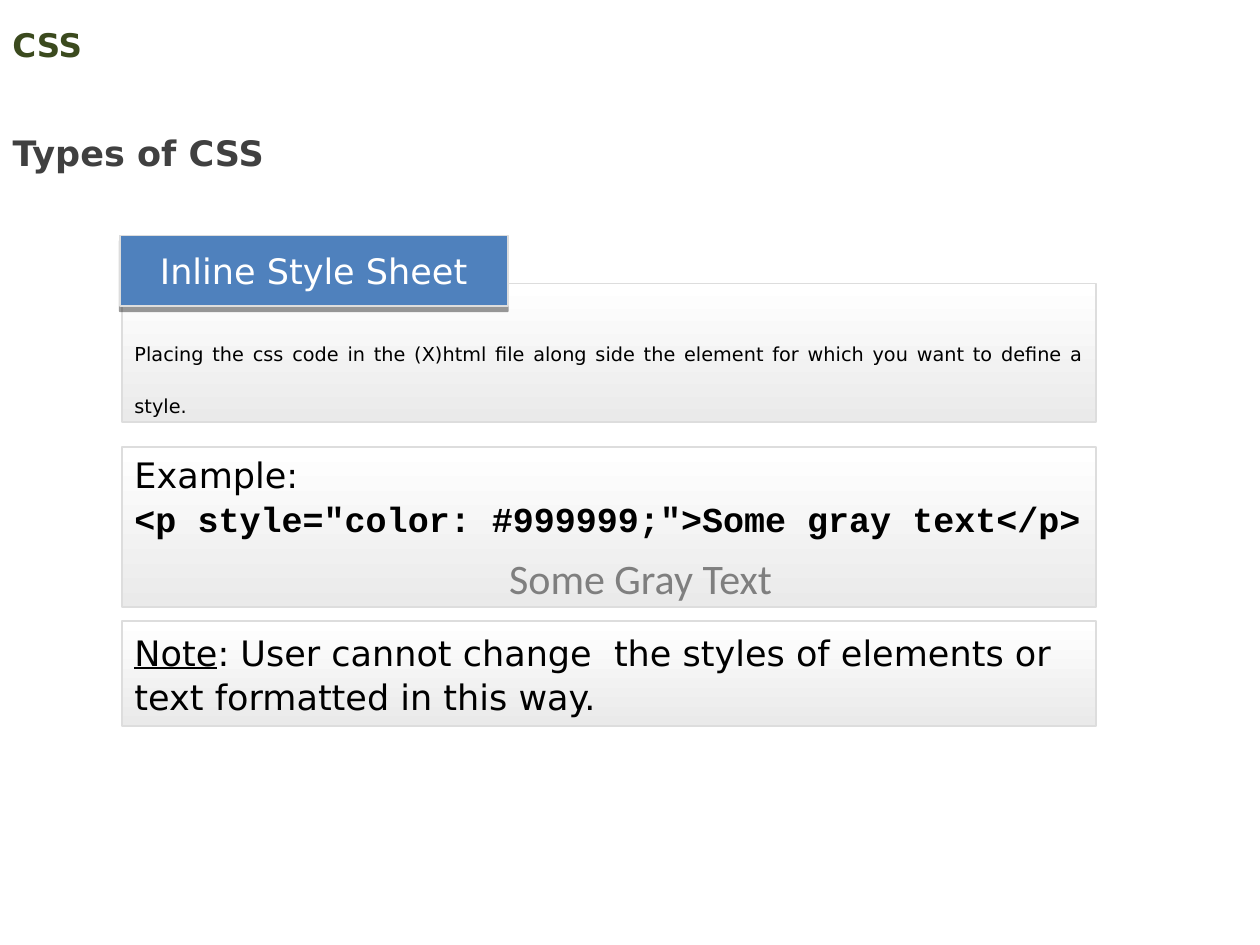
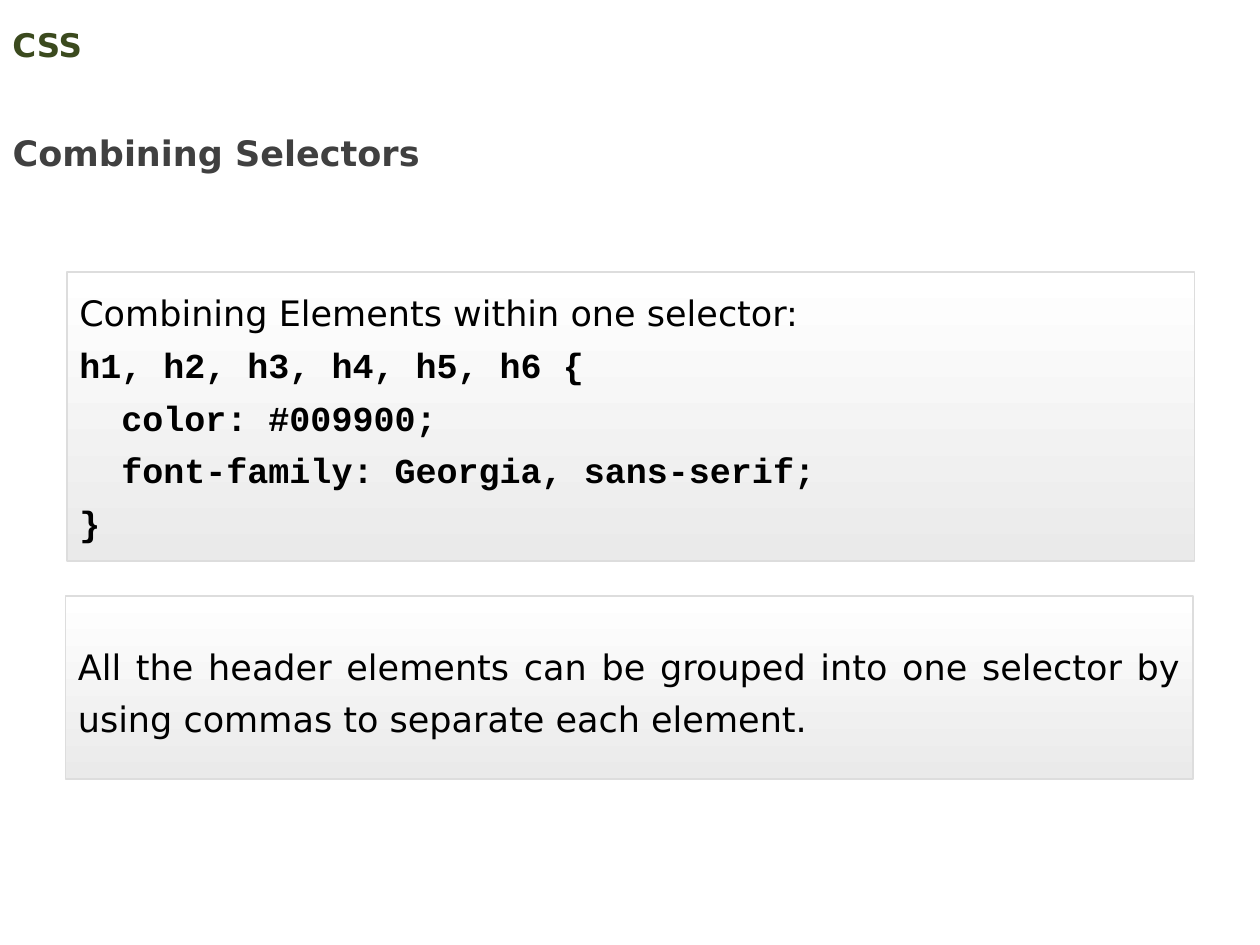
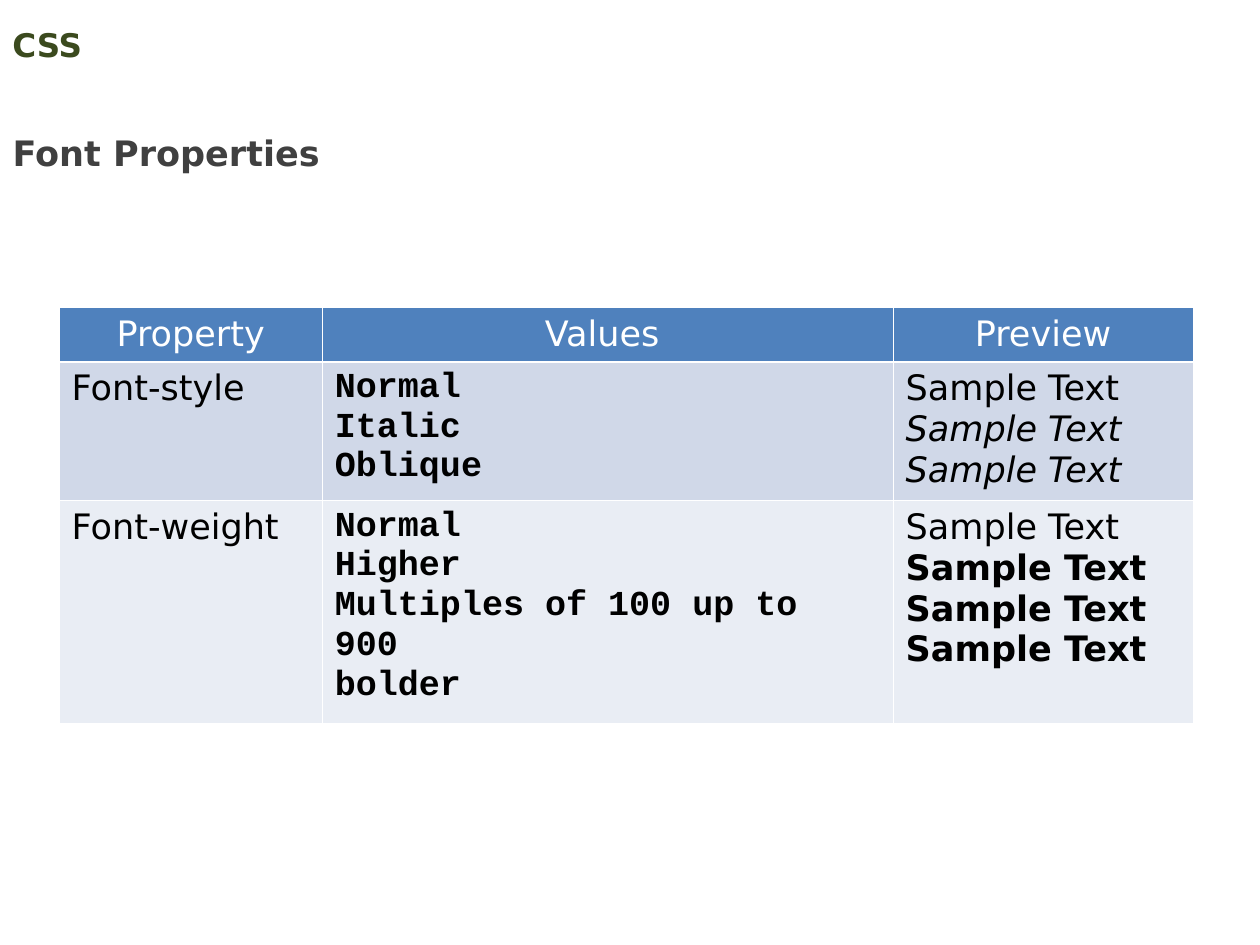
"""Builds three slides on CSS: inline styles, selectors and font properties."""
from dataclasses import dataclass, replace

from lxml import etree
from pptx import Presentation
from pptx.dml.color import RGBColor
from pptx.enum import shapes, text
from pptx.oxml import ns
from pptx.slide import Slide
from pptx.text.text import TextFrame
from pptx.util import Pt

WHITE = RGBColor(0xFF, 0xFF, 0xFF)
BLACK = RGBColor(0x00, 0x00, 0x00)
OLIVE = RGBColor(0x3B, 0x4A, 0x1E)
DARK = RGBColor(0x40, 0x40, 0x40)
GRAY = RGBColor(0x7F, 0x7F, 0x7F)
PALE = RGBColor(0xEA, 0xEA, 0xEA)
EDGE = RGBColor(0xDD, 0xDD, 0xDD)
BLUE = RGBColor(0x4F, 0x81, 0xBD)
BAND = RGBColor(0xD0, 0xD8, 0xE8)
LIGHT = RGBColor(0xE9, 0xED, 0xF4)

SANS, MONO = "DejaVu Sans", "Courier New"
LEFT, MID, FULL = text.PP_ALIGN.LEFT, text.PP_ALIGN.CENTER, text.PP_ALIGN.JUSTIFY
THIN, THICK = 0.45, 1.47


@dataclass(frozen=True)
class Run:
    """A stretch of text in one style."""
    words: str
    size: float = 20
    face: str = SANS
    ink: RGBColor = BLACK
    bold: bool = False
    slant: bool = False
    under: bool = False
    split: bool = False


@dataclass(frozen=True)
class Para:
    """A paragraph and its spacing; a float lead is a factor."""
    runs: tuple[Run, ...]
    align: text.PP_ALIGN = LEFT
    lead: int | float | None = None
    before: float = 0
    after: float = 0
    level: int = 0
    margin: float = 0
    indent: float = 0


@dataclass(frozen=True)
class Box:
    """A place on the slide."""
    left: float
    top: float
    wide: float
    high: float

    def place(self) -> tuple[Pt, Pt, Pt, Pt]:
        """Return the four lengths."""
        return Pt(self.left), Pt(self.top), Pt(self.wide), Pt(self.high)


@dataclass(frozen=True)
class Panel:
    """A shaded box with text."""
    box: Box
    paras: tuple[Para, ...]
    over: float = 7.2
    below: float = 7.2


HEAD = Box(0, 10.1, 648, 31)
TITLE = Box(0, 59.8, 277.2, 43.2)
TAG = Box(68.4, 134.6, 221.8, 40.3)


def code(words: str) -> Run:
    """Make a run of code."""
    return Run(words, face=MONO, bold=True)


def block(*runs: Run, align: text.PP_ALIGN = LEFT, lead: int = 25) -> Para:
    """Make a panel paragraph."""
    return Para(runs, align, Pt(lead), after=5)


def write(frame: TextFrame, paras: tuple[Para, ...]) -> None:
    """Fill a frame with paragraphs, run by run."""
    frame.word_wrap = True
    for num, para in enumerate(paras):
        line = frame.add_paragraph() if num else frame.paragraphs[0]
        line.alignment = para.align
        line.space_before, line.space_after = Pt(para.before), Pt(para.after)
        if para.lead:
            line.line_spacing = para.lead
        if para.level:
            line.level = para.level
            props = line._p.get_or_add_pPr()
            props.set("marL", str(Pt(para.margin)))
            props.set("indent", str(Pt(para.indent)))
        for run in para.runs:
            part = line.add_run()
            part.text = run.words
            font = part.font
            font.size, font.name = Pt(run.size), run.face
            font.bold, font.italic, font.underline = run.bold, run.slant, run.under
            font.color.rgb = run.ink
            if run.split:
                line.add_line_break()


def inset(frame: TextFrame, side: float, over: float, below: float) -> None:
    """Set the margins of a frame."""
    frame.margin_left = frame.margin_right = Pt(side)
    frame.margin_top, frame.margin_bottom = Pt(over), Pt(below)


def start(deck: Presentation, name: str) -> Slide:
    """Add a slide with the shared head and its title."""
    slide = deck.slides.add_slide(deck.slide_layouts[5])
    head = slide.shapes.add_textbox(*HEAD.place()).text_frame
    head.vertical_anchor = text.MSO_ANCHOR.MIDDLE
    write(head, (Para((Run("CSS", 18.6, ink=OLIVE, bold=True),)),))
    title = slide.shapes.title
    title.left, title.top, title.width, title.height = TITLE.place()
    frame = title.text_frame
    inset(frame, 7.2, 3.6, 3.6)
    frame.vertical_anchor = text.MSO_ANCHOR.TOP
    frame.auto_size = text.MSO_AUTO_SIZE.SHAPE_TO_FIT_TEXT
    write(frame, (Para((Run(name, ink=DARK, bold=True),), lead=1.5),))
    return slide


def rect(slide: Slide, box: Box):
    """Add an edged rectangle with no shadow."""
    shape = slide.shapes.add_shape(shapes.MSO_SHAPE.RECTANGLE, *box.place())
    shape.shadow.inherit = False
    shape.line.color.rgb, shape.line.width = EDGE, Pt(1)
    shape.text_frame.vertical_anchor = text.MSO_ANCHOR.MIDDLE
    return shape


def draw(slide: Slide, panel: Panel) -> None:
    """Draw a panel."""
    shape = rect(slide, panel.box)
    fill = shape.fill
    fill.gradient()
    fill.gradient_angle = 270
    for stop, tone, spot in zip(fill.gradient_stops, (WHITE, PALE), (0, 1)):
        stop.color.rgb, stop.position = tone, spot
    inset(shape.text_frame, 7.2, panel.over, panel.below)
    write(shape.text_frame, panel.paras)


def label(slide: Slide, words: str) -> None:
    """Draw the blue tag with its drop shadow."""
    shape = rect(slide, TAG)
    shape.fill.solid()
    shape.fill.fore_color.rgb = BLUE
    effect = shape._element.spPr.find(ns.qn("a:effectLst"))
    shade = etree.SubElement(effect, ns.qn("a:outerShdw"), blurRad="0",
                             dist=str(Pt(3)), dir="5400000", rotWithShape="0")
    tone = etree.SubElement(shade, ns.qn("a:srgbClr"), val=str(BLACK))
    etree.SubElement(tone, ns.qn("a:alpha"), val="40000")
    inset(shape.text_frame, 0, 0, 0)
    write(shape.text_frame, (Para((Run(words, ink=WHITE),), MID),))


def border(cell, over: float, below: float) -> None:
    """Give a cell white borders."""
    props = cell._tc.get_or_add_tcPr()
    sides = (("L", THIN), ("R", THIN), ("T", over), ("B", below))
    for spot, (side, wide) in enumerate(sides):
        line = etree.Element(ns.qn(f"a:ln{side}"), w=str(Pt(wide)))
        fill = etree.SubElement(line, ns.qn("a:solidFill"))
        etree.SubElement(fill, ns.qn("a:srgbClr"), val=str(WHITE))
        props.insert(spot, line)


def grid(slide: Slide, box: Box, wides: tuple, highs: tuple, rows: tuple) -> None:
    """Draw a table whose cells hold tuples of one-run lines."""
    table = slide.shapes.add_table(len(rows), len(wides), *box.place()).table
    for col, wide in zip(table.columns, wides):
        col.width = Pt(wide)
    for num, (cells, high, tone) in enumerate(zip(rows, highs, (BLUE, BAND, LIGHT))):
        table.rows[num].height = Pt(high)
        for col, runs in enumerate(cells):
            cell = table.cell(num, col)
            cell.fill.solid()
            cell.fill.fore_color.rgb = tone
            border(cell, THICK if num == 1 else THIN, THIN if num else THICK)
            align = LEFT if num else MID
            write(cell.text_frame, tuple(Para((run,), align) for run in runs))


def inline(deck: Presentation) -> None:
    """Build the slide on inline style sheets."""
    slide = start(deck, "Types of CSS")
    left, wide = 69.8, 556.6
    draw(slide, Panel(Box(left, 162, wide, 79.2), (
        block(Run("Placing the css code in the (X)html file along side the element "
                  "for which you want to define a style. ", 11), align=FULL, lead=30),
    ), 28.8, 14.4))
    label(slide, "Inline Style Sheet")
    draw(slide, Panel(Box(left, 255.6, wide, 91.4), (
        block(Run("Example:", split=True),
              code('<p style="color: #999999;">Some gray text</p>')),
        Para((Run("Some Gray Text", 24, "Calibri", GRAY),), MID, Pt(25), before=6,
             level=1, margin=58.3, indent=-22.3),
    )))
    draw(slide, Panel(Box(left, 355, wide, 59.8), (
        block(Run("Note", under=True),
              Run(": User cannot change  the styles of elements or text "
                  "formatted in this way.")),
    )))


def select(deck: Presentation) -> None:
    """Build the slide on combined selectors."""
    slide = start(deck, "Combining Selectors")
    rules = ("h1, h2, h3, h4, h5, h6 {", "  color: #009900;",
             "  font-family: Georgia, sans-serif;", "}")
    draw(slide, Panel(Box(38.2, 155.5, 644.4, 164.9), (
        block(Run("Combining Elements within one selector:"), align=FULL),
        *(block(code(rule)) for rule in rules),
    )))
    draw(slide, Panel(Box(37.4, 340.6, 644.4, 104.4), (
        block(Run("All the header elements can be grouped into one selector by "
                  "using commas to separate each element."), align=FULL, lead=30),
    )))


def fonts(deck: Presentation) -> None:
    """Build the slide with the table of font properties."""
    slide = start(deck, "Font Properties")
    plain = Run("Sample Text")
    slant, bold = replace(plain, slant=True), replace(plain, bold=True)
    heads = ("Property", "Values ", "Preview")
    styles = ("Normal", "Italic", "Oblique")
    weights = ("Normal", "Higher", "Multiples of 100 up to 900", "bolder")
    grid(slide, Box(33.8, 175.7, 648, 213.8), (150.4, 326.2, 171.4), (31, 79.2, 127.4), (
        tuple((Run(head, ink=WHITE),) for head in heads),
        ((Run("Font-style"),), tuple(map(code, styles)), (plain, slant, slant)),
        ((Run("Font-weight"),), tuple(map(code, weights)), (plain, bold, bold, bold)),
    ))


def main() -> None:
    """Build and save the deck."""
    deck = Presentation()
    deck.slide_width, deck.slide_height = Pt(720), Pt(540)
    for build in (inline, select, fonts):
        build(deck)
    deck.save("out.pptx")


if __name__ == "__main__":
    main()
